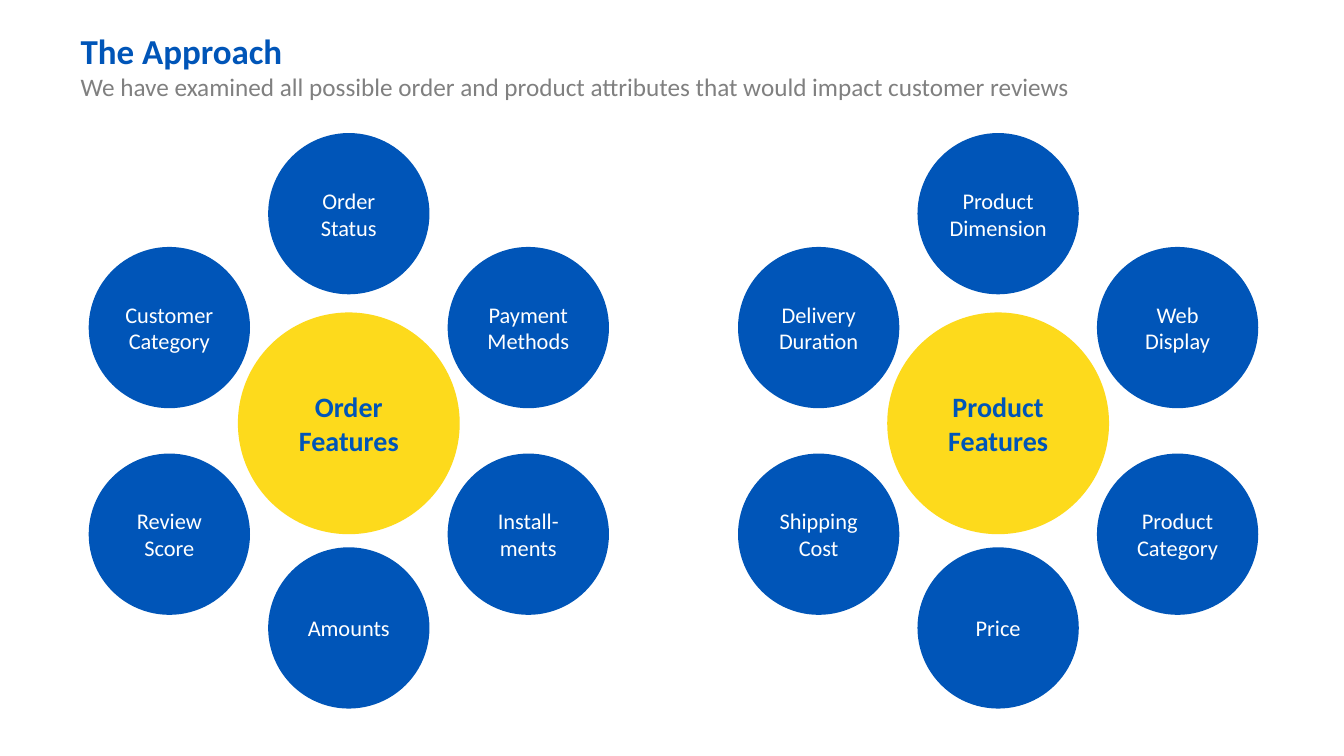
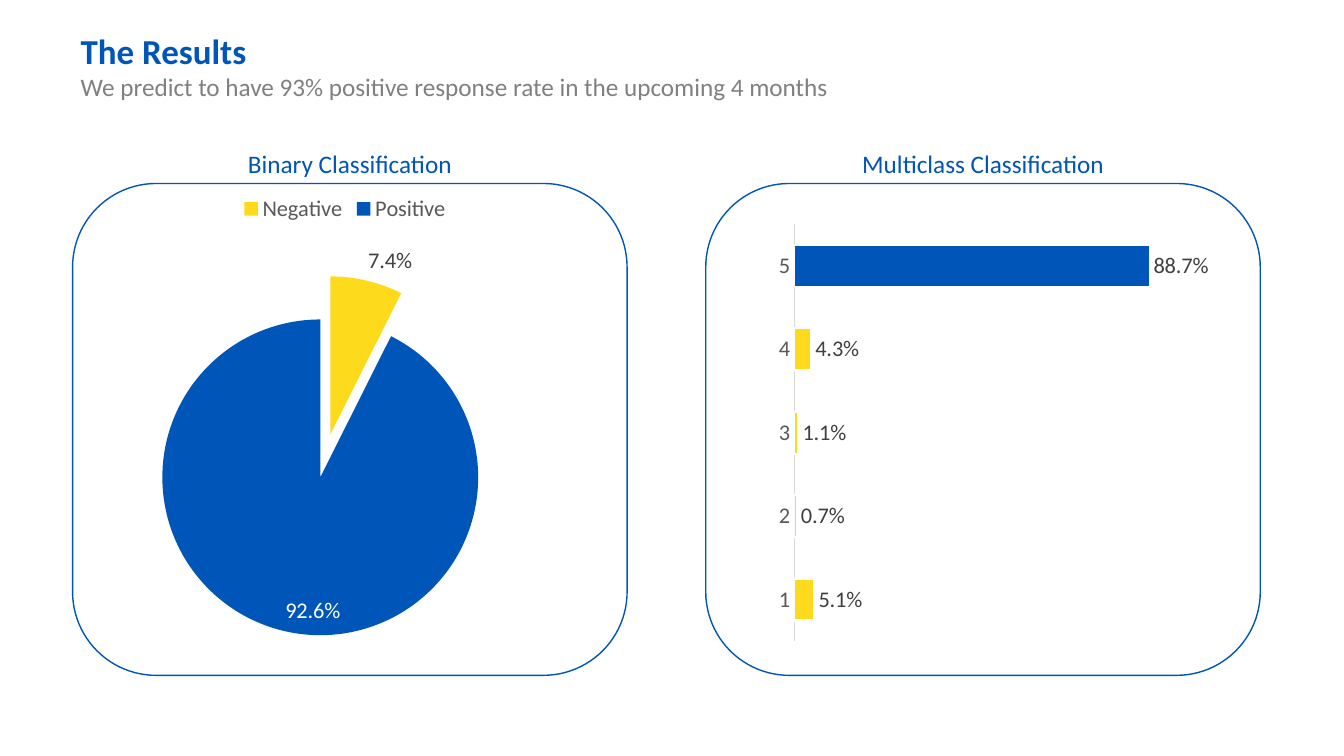
from copy import deepcopy

from lxml.etree import SubElement
from pptx import Presentation
from pptx.chart.data import CategoryChartData
from pptx.dml.color import RGBColor
from pptx.enum.chart import XL_CHART_TYPE, XL_LABEL_POSITION, XL_LEGEND_POSITION, XL_TICK_MARK
from pptx.enum.shapes import MSO_SHAPE
from pptx.enum.text import MSO_ANCHOR, MSO_AUTO_SIZE, PP_ALIGN
from pptx.oxml.ns import qn
from pptx.util import Inches, Pt

BLUE = RGBColor(0x00, 0x55, 0xB8)
YELLOW = RGBColor(0xFD, 0xDA, 0x1C)
WHITE = RGBColor(0xFF, 0xFF, 0xFF)
SUBTITLE_GRAY = RGBColor(0x80, 0x80, 0x80)
LABEL_GRAY = RGBColor(0x40, 0x40, 0x40)
AXIS_GRAY = RGBColor(0x59, 0x59, 0x59)
LINE_GRAY = RGBColor(0xD9, 0xD9, 0xD9)
FONT = "Calibri"
TITLE_ONLY_LAYOUT = 5

HUB_SIZE = 2.2
SATELLITE_SIZE = 1.6
HUB_Y = 4.2
SATELLITE_OFFSETS = [(0, -2.08), (1.78, -0.95), (1.78, 1.1), (0, 2.03), (-1.78, 1.1), (-1.78, -0.95)]
FEATURE_RINGS = [
    (3.46, "Order\nFeatures", ["Order Status", "Payment Methods", "Install-ments",
                               "Amounts", "Review Score", "Customer Category"]),
    (9.9, "Product\nFeatures", ["Product\nDimension", "Web Display", "Product\nCategory",
                                "Price", "Shipping Cost", "Delivery Duration"]),
]
PANEL_WIDTH = 5.5
BINARY_LEFT = 0.72
MULTICLASS_LEFT = 7


class Deck:
    """Holds the shared style and the slide being built."""

    def __init__(self):
        """Start an empty widescreen presentation."""
        self.presentation = Presentation()
        self.presentation.slide_width = Inches(13.33)
        self.presentation.slide_height = Inches(7.5)
        self.slide = None

    def style_font(self, font, size, color, bold=False):
        """Apply the deck typeface with a size and colour."""
        font.name = FONT
        font.size = Pt(size)
        font.color.rgb = color
        font.bold = bold

    def add_line(self, paragraph, text, size, color, bold=False, align=PP_ALIGN.CENTER):
        """Write one styled run into a paragraph."""
        paragraph.alignment = align
        run = paragraph.add_run()
        run.text = text
        self.style_font(run.font, size, color, bold)

    def add_slide(self, title, subtitle):
        """Add a slide with a title and a line beneath it."""
        layout = self.presentation.slide_layouts[TITLE_ONLY_LAYOUT]
        self.slide = self.presentation.slides.add_slide(layout)
        shape = self.slide.shapes.title
        shape.left, shape.top = Inches(0.7), Inches(0.24)
        shape.width, shape.height = Inches(11.94), Inches(0.82)
        frame = shape.text_frame
        frame.auto_size = MSO_AUTO_SIZE.NONE
        frame.vertical_anchor = MSO_ANCHOR.TOP
        self.add_line(frame.paragraphs[0], title, 25, BLUE, True, PP_ALIGN.LEFT)
        self.add_line(frame.add_paragraph(), subtitle, 18, SUBTITLE_GRAY, align=PP_ALIGN.LEFT)

    def add_circle(self, center_x, center_y, diameter, fill, text, size, color, bold=False):
        """Add a filled circle with centred text."""
        radius = diameter / 2
        shape = self.slide.shapes.add_shape(
            MSO_SHAPE.OVAL, Inches(center_x - radius), Inches(center_y - radius),
            Inches(diameter), Inches(diameter))
        shape.shadow.inherit = False
        shape.fill.solid()
        shape.fill.fore_color.rgb = fill
        shape.line.fill.background()
        frame = shape.text_frame
        frame.word_wrap = True
        frame.vertical_anchor = MSO_ANCHOR.MIDDLE
        frame.margin_left = frame.margin_right = Inches(0.05)
        for index, line in enumerate(text.split("\n")):
            paragraph = frame.add_paragraph() if index else frame.paragraphs[0]
            self.add_line(paragraph, line, size, color, bold)

    def add_ring(self, center_x, hub_text, labels):
        """Add a hub circle surrounded by its feature circles."""
        self.add_circle(center_x, HUB_Y, HUB_SIZE, YELLOW, hub_text, 20, BLUE, True)
        for (offset_x, offset_y), label in zip(SATELLITE_OFFSETS, labels):
            self.add_circle(center_x + offset_x, HUB_Y + offset_y, SATELLITE_SIZE,
                            BLUE, label, 16, WHITE)

    def add_panel(self, left, caption):
        """Add a captioned rounded outline."""
        box = self.slide.shapes.add_textbox(
            Inches(left), Inches(1.42), Inches(PANEL_WIDTH), Inches(0.4))
        box.text_frame.word_wrap = True
        self.add_line(box.text_frame.paragraphs[0], caption, 18, BLUE)
        outline = self.slide.shapes.add_shape(
            MSO_SHAPE.ROUNDED_RECTANGLE, Inches(left), Inches(1.82),
            Inches(PANEL_WIDTH), Inches(4.88))
        outline.adjustments[0] = 0.17
        outline.shadow.inherit = False
        outline.fill.background()
        outline.line.color.rgb = BLUE
        outline.line.width = Pt(1)

    def add_chart(self, chart_type, bounds, plot_area, categories, values):
        """Add a one-series chart with a fixed plot area and outside labels."""
        data = CategoryChartData()
        data.categories = categories
        data.add_series("Series 1", values)
        chart = self.slide.shapes.add_chart(chart_type, *map(Inches, bounds), data).chart
        chart.has_title = False
        chart.has_legend = False
        self.style_font(chart.font, 16, AXIS_GRAY)
        plot = chart.plots[0]
        plot.vary_by_categories = False
        plot.has_data_labels = True
        labels = plot.series[0].data_labels
        labels.number_format = "0.0%"
        labels.number_format_is_linked = False
        labels.position = XL_LABEL_POSITION.OUTSIDE_END
        self.style_font(labels.font, 16, LABEL_GRAY)
        self.place_plot(chart, plot_area)
        return chart

    def place_plot(self, chart, plot_area):
        """Fix the inner plot area as fractions of the chart."""
        area = chart.element.xpath("c:chart/c:plotArea")[0]
        for layout in area.findall(qn("c:layout")):
            area.remove(layout)
        layout = SubElement(area, qn("c:layout"))
        area.insert(0, layout)
        manual = SubElement(layout, qn("c:manualLayout"))
        settings = [("layoutTarget", "inner"), ("xMode", "edge"), ("yMode", "edge")]
        settings += zip("xywh", map(str, plot_area))
        for name, value in settings:
            SubElement(manual, qn(f"c:{name}")).set("val", value)

    def color_point(self, series, index, color):
        """Fill one data point."""
        fill = series.points[index].format.fill
        fill.solid()
        fill.fore_color.rgb = color

    def add_pie(self):
        """Add the pie of negative and positive responses."""
        chart = self.add_chart(XL_CHART_TYPE.PIE, (BINARY_LEFT, 1.82, 5.4, 4.82),
                               (0.15, 0.28, 0.61, 0.65), ["Negative", "Positive"], [7.4, 92.6])
        chart.has_legend = True
        chart.legend.position = XL_LEGEND_POSITION.TOP
        chart.legend.include_in_layout = False
        self.style_font(chart.legend.font, 16, AXIS_GRAY)
        series = chart.plots[0].series[0]
        for index, color in enumerate([YELLOW, BLUE]):
            self.color_point(series, index, color)
        series.data_labels.show_value = False
        series.data_labels.show_percentage = True
        positive_label = series.points[1].data_label
        self.style_font(positive_label.font, 16, WHITE)
        positive_label.position = XL_LABEL_POSITION.INSIDE_END
        label = chart.element.xpath("//c:dLbl")[0]
        label.insert(1, deepcopy(chart.element.xpath("//c:ser/c:dLbls/c:numFmt")[0]))
        label.find(qn("c:showVal")).set("val", "0")
        label.find(qn("c:showPercent")).set("val", "1")
        negative_point = chart.element.xpath("//c:dPt")[0]
        explosion = SubElement(negative_point, qn("c:explosion"))
        explosion.set("val", "28")
        negative_point.find(qn("c:spPr")).addprevious(explosion)

    def add_bars(self):
        """Add the bars of predicted review scores."""
        chart = self.add_chart(XL_CHART_TYPE.BAR_CLUSTERED, (7.28, 1.89, 4.97, 4.76),
                               (0.12, 0.07, 0.8, 0.87), ["1", "2", "3", "4", "5"],
                               [0.051, 0.007, 0.011, 0.043, 0.887])
        plot = chart.plots[0]
        plot.gap_width = 100
        series = plot.series[0]
        series.format.fill.solid()
        series.format.fill.fore_color.rgb = YELLOW
        self.color_point(series, 4, BLUE)
        for element in (series, series.points[4]):
            element.format.line.color.rgb = WHITE
            element.format.line.width = Pt(1.5)
        series.data_labels.show_value = True
        value_axis = chart.value_axis
        value_axis.visible = False
        value_axis.has_major_gridlines = False
        value_axis.minimum_scale, value_axis.maximum_scale = 0, 1
        category_axis = chart.category_axis
        category_axis.major_tick_mark = XL_TICK_MARK.NONE
        category_axis.format.line.color.rgb = LINE_GRAY
        category_axis.format.line.width = Pt(0.75)
        self.style_font(category_axis.tick_labels.font, 16, AXIS_GRAY)


def main():
    """Build and save both slides."""
    deck = Deck()
    deck.add_slide("The Approach", "We have examined all possible order and product attributes "
                                   "that would impact customer reviews")
    for center_x, hub_text, labels in FEATURE_RINGS:
        deck.add_ring(center_x, hub_text, labels)

    deck.add_slide("The Results",
                   "We predict to have 93% positive response rate in the upcoming 4 months")
    deck.add_pie()
    deck.add_bars()
    deck.add_panel(BINARY_LEFT, "Binary Classification")
    deck.add_panel(MULTICLASS_LEFT, "Multiclass Classification")
    deck.presentation.save("out.pptx")


if __name__ == "__main__":
    main()
